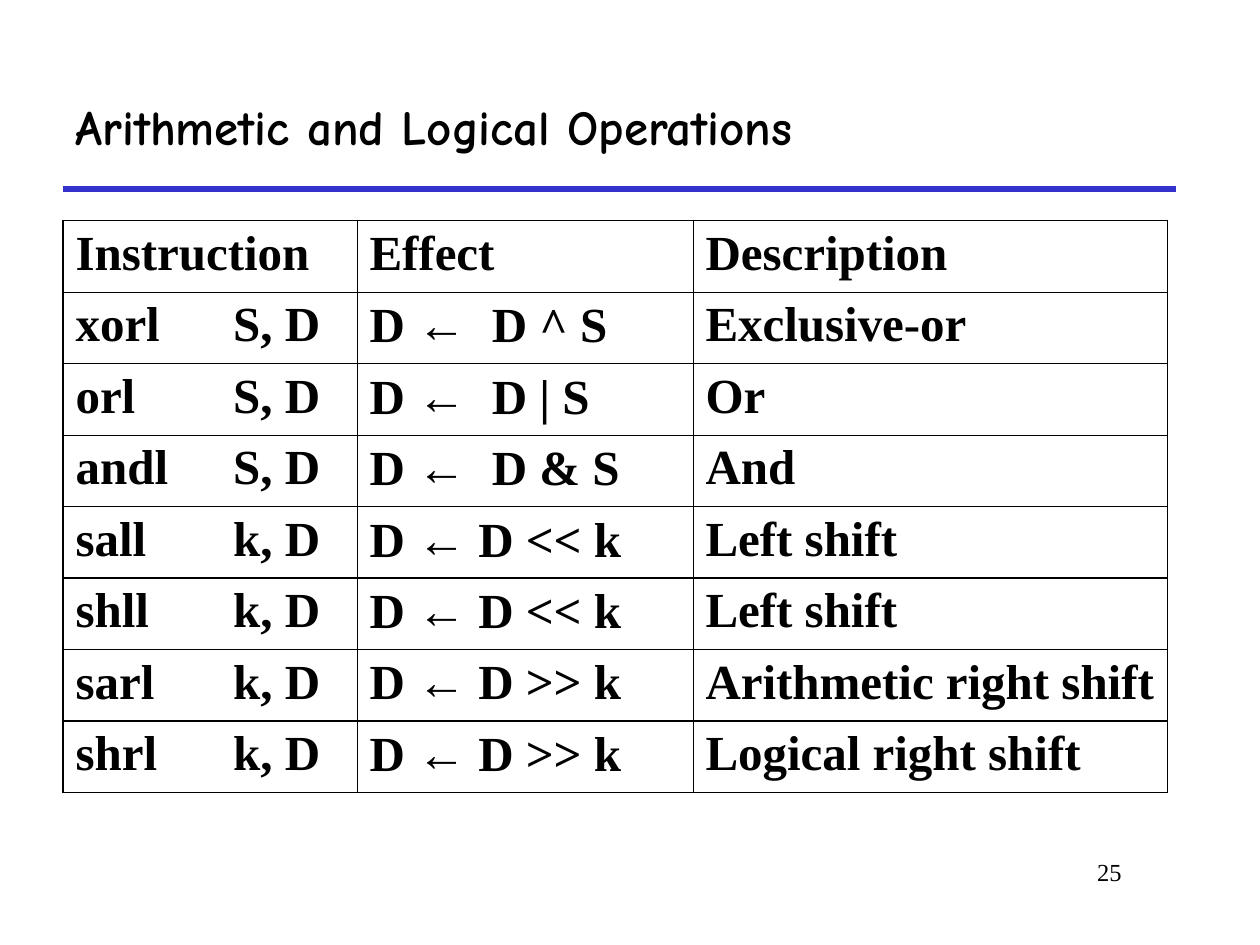
from lxml import etree
from pptx import Presentation, util as u
from pptx.dml.color import RGBColor
from pptx.enum import shapes, text
from pptx.oxml import ns

COLUMNS, ROWS = 60, 45
INSTRUCTIONS = [
    ("Instruction", "Effect", "Description"),
    ("xorl\tS, D", "D ←\tD ^ S", "Exclusive-or"),
    ("orl\tS, D", "D ←\tD | S", "Or"),
    ("andl\tS, D", "D ←\tD & S", "And"),
    ("sall\tk, D", "D ← D << k", "Left shift"),
    ("shll\tk, D", "D ← D << k", "Left shift"),
    ("sarl\tk, D", "D ← D >> k", "Arithmetic right shift"),
    ("shrl\tk, D", "D ← D >> k", "Logical right shift"),
]
COLUMN_WIDTHS = (14, 16, 22.6)
COLUMN_TABS = (1.25, 0.97, None)
ROW_HEIGHT = 3.4
FIRST_SHIFT_ROW = 4
THIN, THICK = 0.45, 1.08


def color(value):
    return RGBColor.from_string(value)


def add_element(parent, tag, **attributes):
    return etree.SubElement(parent, ns.qn(tag), attributes)


class SlideBuilder:
    ink, accent = "000000", "3333CC"
    body_font, title_font, arrow_font = "Times New Roman", "Comic Neue", "Arial"

    def __init__(self, deck):
        self.deck = deck
        self.page = deck.slides.add_slide(deck.slide_layouts[6])

    def across(self, columns):
        return round(self.deck.slide_width * columns / COLUMNS)

    def down(self, rows):
        return round(self.deck.slide_height * rows / ROWS)

    def area(self, left, top, width, height):
        return (self.across(left), self.down(top),
                self.across(width), self.down(height))

    def span(self, para, words, size, font, bold):
        span = para.add_run()
        span.text = words
        span.font.size = u.Pt(size)
        span.font.name = font
        span.font.bold = bold
        span.font.color.rgb = color(self.ink)

    def label(self, words, area, size, font, bold=False,
              anchor=text.MSO_ANCHOR.TOP, align=text.PP_ALIGN.LEFT):
        frame = self.page.shapes.add_textbox(*self.area(*area)).text_frame
        frame.word_wrap = True
        frame.vertical_anchor = anchor
        para = frame.paragraphs[0]
        para.alignment = align
        self.span(para, words, size, font, bold)

    def rule(self, left, right, row, width):
        y = self.down(row)
        line = self.page.shapes.add_connector(
            shapes.MSO_CONNECTOR.STRAIGHT, self.across(left), y, self.across(right), y)
        line.line.color.rgb = color(self.accent)
        line.line.width = u.Pt(width)
        add_element(line._element.spPr, "a:effectLst")

    def cell(self, cell, words, tab, borders):
        """Fill one table cell; borders maps a side (L, R, T, B) to its width."""
        para = cell.text_frame.paragraphs[0]
        para.space_before = u.Pt(7)
        if tab and "\t" in words:
            stops = add_element(para._p.get_or_add_pPr(), "a:tabLst")
            add_element(stops, "a:tab", pos=str(u.Inches(tab)), algn="l")
        before, arrow, after = words.partition("←")
        for part, font in ((before, self.body_font), (arrow, self.arrow_font),
                           (after, self.body_font)):
            if part:
                self.span(para, part, 28, font, True)
        properties = cell._tc.get_or_add_tcPr()
        for side, width in borders.items():
            line = add_element(properties, f"a:ln{side}", w=str(u.Pt(width)))
            fill = add_element(line, "a:solidFill")
            add_element(fill, "a:srgbClr", val=self.ink)
        cell.fill.background()

    def table(self, records, left, top):
        area = self.area(left, top, sum(COLUMN_WIDTHS), ROW_HEIGHT * len(records))
        table = self.page.shapes.add_table(len(records), len(COLUMN_WIDTHS), *area).table
        table.first_row = table.horz_banding = False
        for column, width in zip(table.columns, COLUMN_WIDTHS):
            column.width = self.across(width)
        last = len(COLUMN_WIDTHS) - 1

        def edge(row):
            return THICK if row == 0 or row >= FIRST_SHIFT_ROW else THIN

        for r, record in enumerate(records):
            table.rows[r].height = self.down(ROW_HEIGHT)
            for c, words in enumerate(record):
                borders = {"L": THICK if c == 0 else THIN,
                           "R": THICK if c == last else THIN,
                           "T": edge(r), "B": edge(r + 1)}
                self.cell(table.cell(r, c), words, COLUMN_TABS[c], borders)


def main():
    deck = Presentation()
    deck.slide_width, deck.slide_height = u.Inches(10), u.Inches(7.5)
    slide = SlideBuilder(deck)
    slide.rule(3, 56, 9, 3)
    slide.label("25", (45.5, 40.5, 8.5, 3), 14, slide.body_font,
                align=text.PP_ALIGN.RIGHT)
    slide.label("Arithmetic and Logical Operations", (3, 3, 53, 6), 28,
                slide.title_font, bold=True, anchor=text.MSO_ANCHOR.MIDDLE)
    slide.table(INSTRUCTIONS, 3, 10.5)
    deck.save("out.pptx")


if __name__ == "__main__":
    main()
